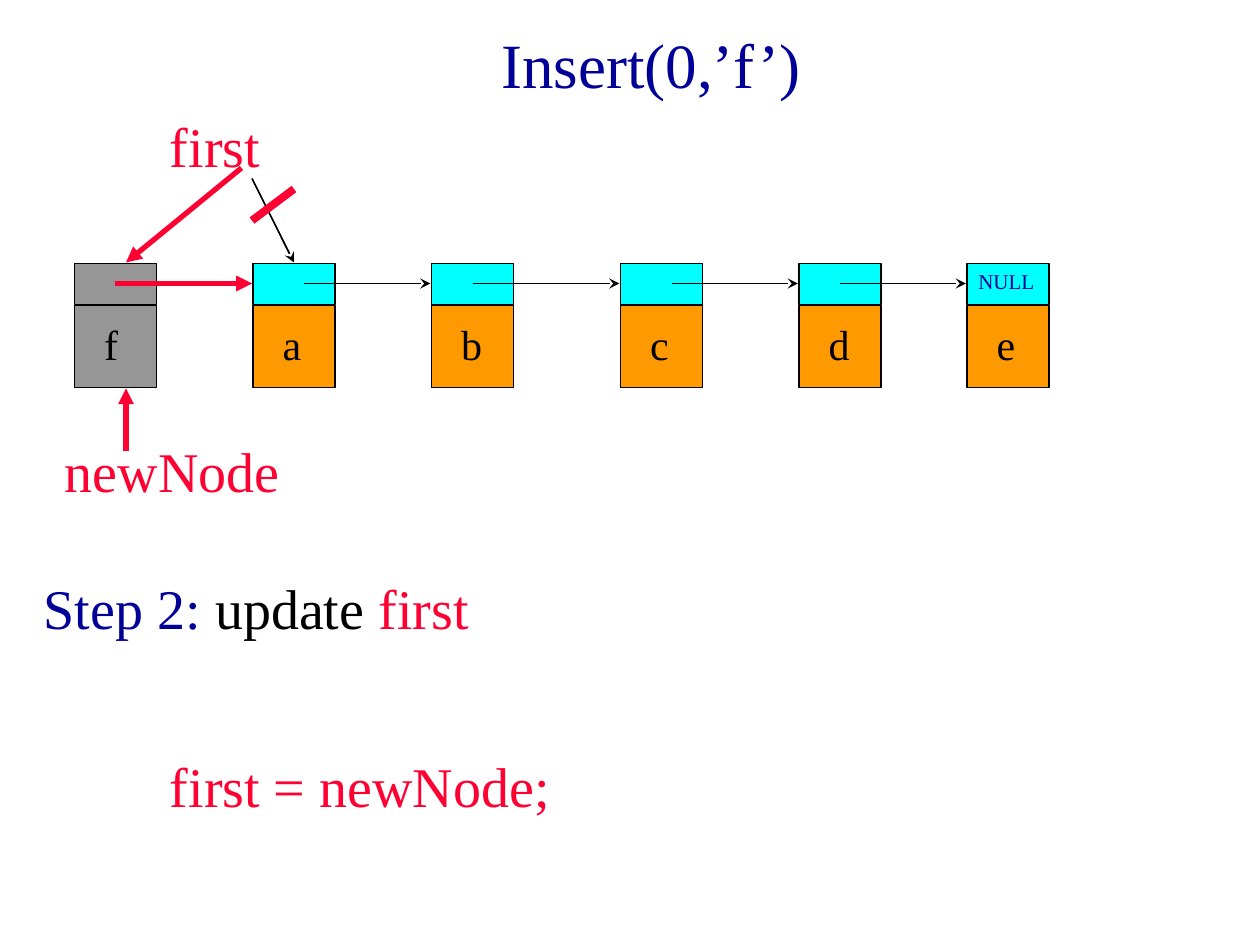
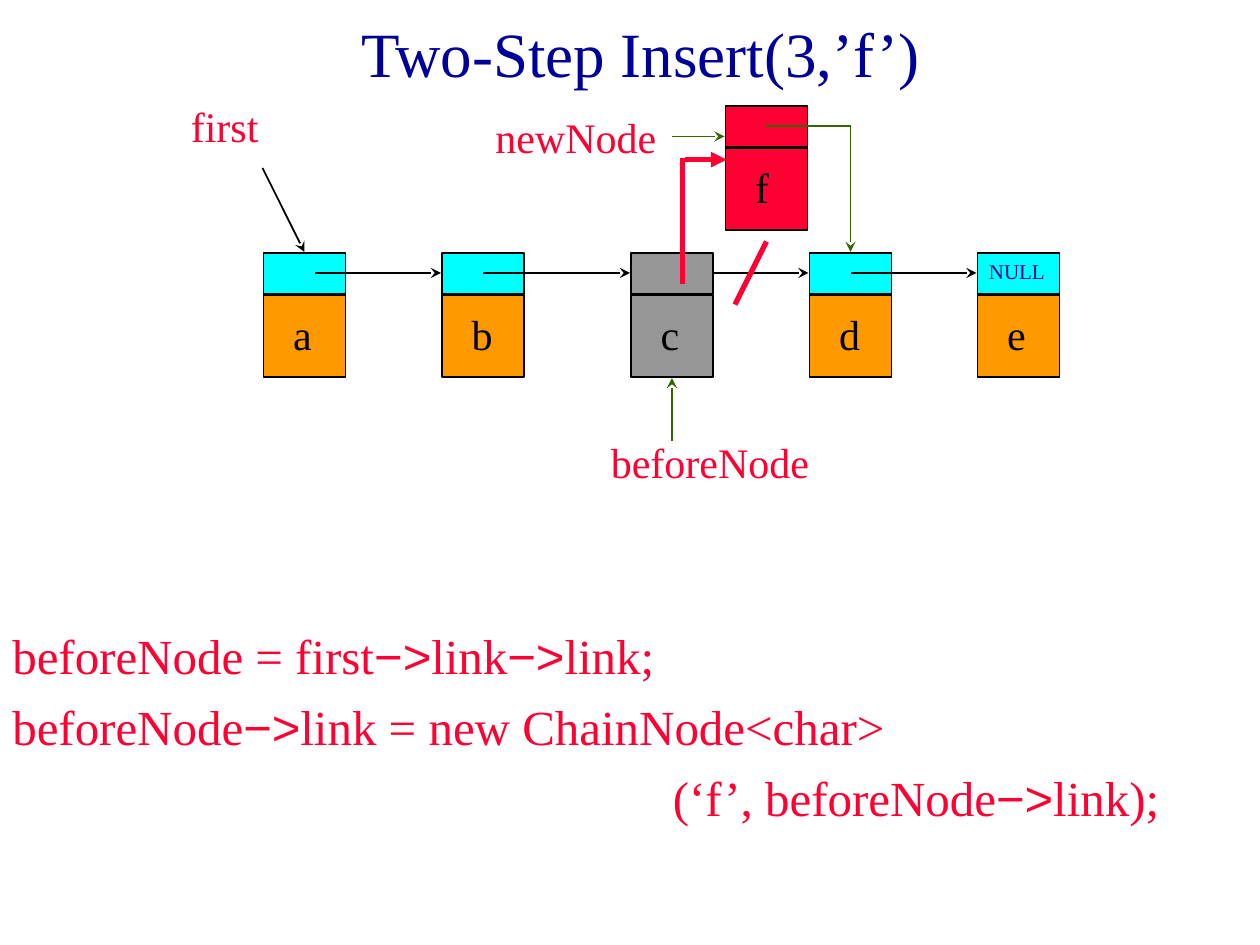
import dataclasses
import typing

import lxml.etree
import pptx
import pptx.dml.color
import pptx.enum.shapes
import pptx.enum.text
import pptx.oxml.ns
import pptx.util

COLUMNS, ROWS = 120, 90
SLIDE_WIDTH, SLIDE_HEIGHT = pptx.util.Inches(10), pptx.util.Inches(7.5)

NAVY, RED, GREEN, BLACK = "000099", "FF0033", "336600", "000000"
GREY, CYAN, ORANGE = "969696", "00FFFF", "FF9900"
SERIF, SANS = "Times New Roman", "Arial"
ARROW = "−>"

NODE_SIDE, POINTER_HEIGHT, DATA_TOP, NODE_INSET = 7.8, 3.9, 4, 0.1
LINK_ROW = 2
# letter: (column of the node, where its link starts inside the node)
CHAIN = {"a": (0, 5), "b": (17, 4), "c": (35, 5), "d": (52, 4), "e": (68, None)}


def column(count):
    return round(SLIDE_WIDTH * count / COLUMNS)


def row(count):
    return round(SLIDE_HEIGHT * count / ROWS)


def rgb(hex_colour):
    return pptx.dml.color.RGBColor.from_string(hex_colour)


def add_run(paragraph, words, size, colour, font=SERIF):
    run = paragraph.add_run()
    run.text = words
    run.font.name = font
    run.font.size = pptx.util.Pt(size)
    run.font.color.rgb = rgb(colour)


def write(paragraph, pieces, size):
    """Write (words, colour) pieces, with the code arrows in the sans font."""
    for words, colour in pieces:
        for index, part in enumerate(words.split(ARROW)):
            if index:
                add_run(paragraph, ARROW, size, colour, SANS)
            add_run(paragraph, part, size, colour)


@dataclasses.dataclass
class Area:
    """A region of a slide; its parts are placed from its left column and top row."""
    slide: typing.Any
    left: float = 0
    top: float = 0

    def box(self, x, y, width, height):
        return (column(self.left + x), row(self.top + y), column(width), row(height))

    def text(self, x, y, width, height, lines, size, space_before=0):
        frame = self.slide.shapes.add_textbox(*self.box(x, y, width, height)).text_frame
        frame.word_wrap = True
        for index, pieces in enumerate(lines):
            paragraph = frame.add_paragraph() if index else frame.paragraphs[0]
            if index:
                paragraph.space_before = pptx.util.Pt(space_before)
            write(paragraph, pieces, size)
        return frame

    def label(self, x, y, words, size):
        self.text(x, y, 24, size / 4, [[(words, RED)]], size)

    def line(self, start, end, colour=BLACK, width=1, head=None):
        connector = self.slide.shapes.add_connector(
            pptx.enum.shapes.MSO_CONNECTOR.STRAIGHT,
            column(self.left + start[0]), row(self.top + start[1]),
            column(self.left + end[0]), row(self.top + end[1]))
        connector.line.color.rgb = rgb(colour)
        connector.line.width = pptx.util.Pt(width)
        if head:
            lxml.etree.SubElement(connector.line._get_or_add_ln(),
                                  pptx.oxml.ns.qn("a:tailEnd"), type=head)
        lxml.etree.SubElement(connector._element.spPr, pptx.oxml.ns.qn("a:effectLst"))

    def arrow(self, start, end, colour=BLACK):
        self.line(start, end, colour, head="stealth")

    def bold_arrow(self, start, end):
        self.line(start, end, RED, 3, "triangle")

    def cell(self, x, y, height, colour):
        rectangle = self.slide.shapes.add_shape(
            pptx.enum.shapes.MSO_SHAPE.RECTANGLE, *self.box(x, y, NODE_SIDE, height))
        rectangle.shadow.inherit = False
        rectangle.fill.solid()
        rectangle.fill.fore_color.rgb = rgb(colour)
        rectangle.line.color.rgb = rgb(BLACK)
        rectangle.line.width = pptx.util.Pt(1)

    def node(self, x, y, letter, data_colour, pointer_colour):
        x, y = x + NODE_INSET, y + NODE_INSET
        self.cell(x, y + DATA_TOP, NODE_SIDE, data_colour)
        self.cell(x, y, POINTER_HEIGHT, pointer_colour)
        self.text(x + 1.65, y + 4.65, 5, 6, [[(letter, BLACK)]], 24)


def draw_chain(diagram, selected=None):
    """Draw the linked nodes; the selected one is grey and covers its own link."""
    for letter, (x, _) in CHAIN.items():
        if letter != selected:
            diagram.node(x, 0, letter, ORANGE, CYAN)
    places = list(CHAIN.values())
    for (x, link_start), (next_x, _) in zip(places, places[1:]):
        diagram.arrow((x + link_start, LINK_ROW), (next_x, LINK_ROW))
    if selected:
        diagram.node(CHAIN[selected][0], 0, selected, GREY, GREY)
    diagram.text(CHAIN["e"][0], 0, 8, 3.6, [[("NULL", NAVY)]], 12)
    diagram.arrow((0, -8), (4, 0))


def add_titled_slide(deck, heading, x, height):
    slide = deck.slides.add_slide(deck.slide_layouts[5])
    title = slide.shapes.title
    title.left, title.top, title.width, title.height = Area(slide).box(x, 0, 102, height)
    frame = title.text_frame
    frame.vertical_anchor = pptx.enum.text.MSO_ANCHOR.MIDDLE
    frame.auto_size = pptx.enum.text.MSO_AUTO_SIZE.NONE
    paragraph = frame.paragraphs[0]
    paragraph.alignment = pptx.enum.text.PP_ALIGN.CENTER
    write(paragraph, [(heading, NAVY)], 36)
    return slide


def draw_front_insert(diagram):
    draw_chain(diagram)
    diagram.label(-9, -15, "first", 32)
    diagram.node(-17, 0, "f", GREY, GREY)
    diagram.bold_arrow((-13, LINK_ROW), (0, LINK_ROW))
    diagram.label(-19, 16, "newNode", 32)
    diagram.bold_arrow((-12, 18), (-12, 12))
    diagram.line((4, -7), (0, -4), RED, 4.5)
    diagram.bold_arrow((-1, -9), (-12, 0))


def draw_middle_insert(diagram):
    draw_chain(diagram, selected="c")
    diagram.label(-8, -15, "first", 24)
    diagram.node(44, -14, "f", RED, RED)
    diagram.line((48, -12), (56, -12), GREEN)
    diagram.arrow((56, -12), (56, 0), GREEN)
    diagram.label(21, -14, "newNode", 24)
    diagram.arrow((39, -11), (44, -11), GREEN)
    diagram.line((48, -1), (45, 5), RED, 3)
    diagram.label(32, 17, "beforeNode", 24)
    diagram.arrow((39, 18), (39, 12), GREEN)
    diagram.line((40, 3), (40, -9), RED, 3)
    diagram.bold_arrow((40.2, -8.8), (44.2, -8.8))


def write_update_step(area):
    step = [("Step 2:", NAVY), (" update ", BLACK), ("first", RED)]
    area.text(0, 0, 113, 8, [step], 32)
    area.text(12, 17, 102, 8, [[("first = newNode;", RED)]], 32)


def write_insert_code(area):
    code = ["beforeNode = first−>link−>link;",
            "beforeNode−>link = new ChainNode<char>",
            "(‘f’, beforeNode−>link);"]
    frame = area.text(0, 0, COLUMNS, 27, [[(line, RED)] for line in code], 28, 7)
    arguments = frame.paragraphs[-1]._p.get_or_add_pPr()
    arguments.set("marL", str(column(62.9)))
    arguments.set("indent", "0")


def main():
    deck = pptx.Presentation()
    deck.slide_width, deck.slide_height = SLIDE_WIDTH, SLIDE_HEIGHT

    front = add_titled_slide(deck, "Insert(0,’f’)", 11, 12)
    draw_front_insert(Area(front, 24, 25))
    write_update_step(Area(front, 3, 54))

    middle = add_titled_slide(deck, "Two-Step Insert(3,’f’)", 10, 10)
    write_insert_code(Area(middle, 0, 59))
    draw_middle_insert(Area(middle, 25, 24))

    deck.save("out.pptx")


if __name__ == "__main__":
    main()
